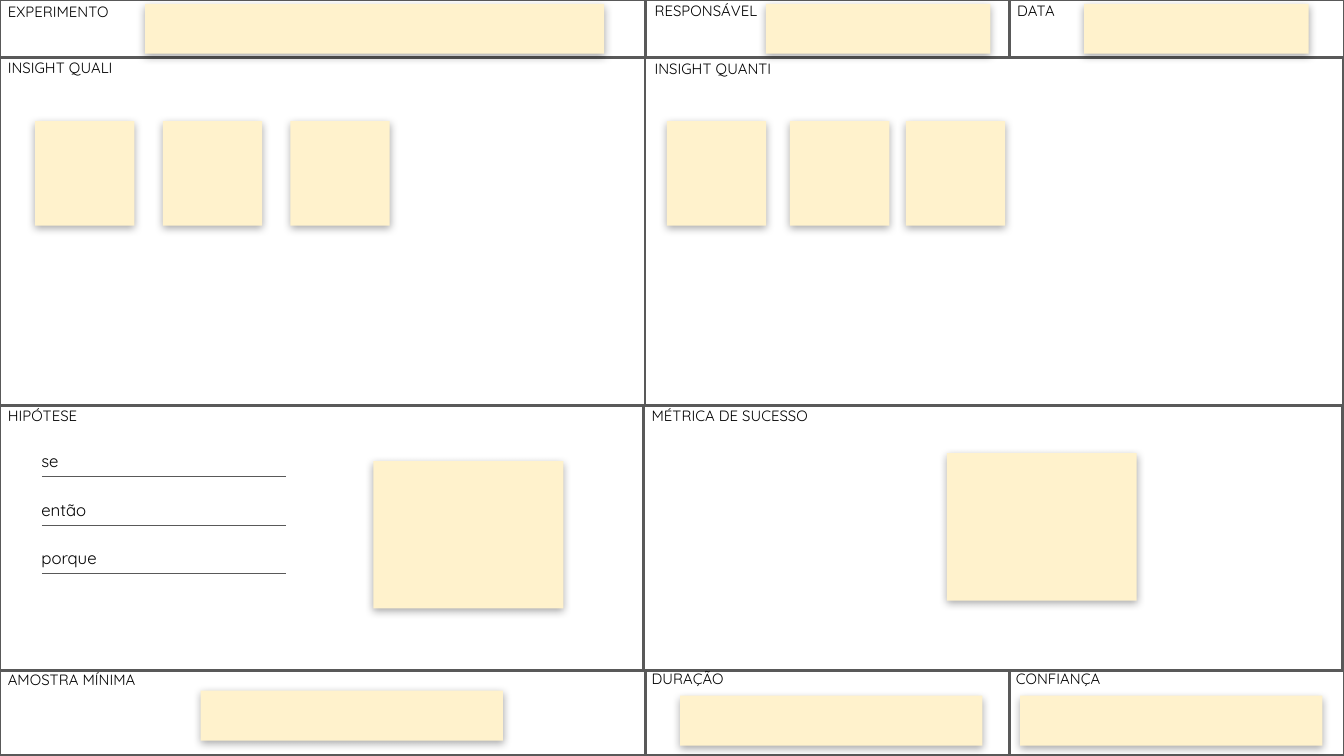
from typing import NamedTuple

import pptx
import pptx.dml.color
import pptx.enum.shapes
import pptx.enum.text
import pptx.oxml
import pptx.oxml.ns
import pptx.util

Pt = pptx.util.Pt
COLORS = {"panel": "FFFFFF", "border": "595959", "note": "FFF2CC", "text": "000000", "shadow": "000000"}
FONT = "Quicksand"

# Grid of the canvas
LEFT, MIDDLE, RIGHT, END = 0, 345.6, 540.7, 720
TOP, INSIGHT, HYPOTHESIS, FOOTER, BOTTOM = 0, 31, 217.4, 359.3, 405


class Panel(NamedTuple):
    label: str
    left: float
    top: float
    right: float
    bottom: float
    label_left: float
    label_top: float


class Note(NamedTuple):
    left: float
    top: float
    width: float
    height: float


PANELS = [
    Panel("INSIGHT QUALI", LEFT, INSIGHT, MIDDLE, HYPOTHESIS, -2.9, 26.6),
    Panel("HIPÓTESE", LEFT, HYPOTHESIS, MIDDLE - 0.5, FOOTER, -2.9, 213.1),
    Panel("AMOSTRA MÍNIMA", LEFT, FOOTER, MIDDLE, BOTTOM, -2.9, 354.4),
    Panel("INSIGHT QUANTI", MIDDLE, INSIGHT, END, HYPOTHESIS, 343.6, 27.2),
    Panel("MÉTRICA DE SUCESSO", MIDDLE - 0.8, HYPOTHESIS, END - 0.8, FOOTER, 342, 213.1),
    Panel("DURAÇÃO", MIDDLE, FOOTER, RIGHT, BOTTOM, 342, 354.2),
    Panel("CONFIANÇA", RIGHT, FOOTER, END, BOTTOM, 537.1, 354.2),
    Panel("EXPERIMENTO", LEFT, TOP, MIDDLE, INSIGHT, -2.9, -3.6),
    Panel("RESPONSÁVEL", MIDDLE, TOP, RIGHT, INSIGHT, 343.6, -4.2),
    Panel("DATA", RIGHT, TOP, END, INSIGHT, 537.8, -4.2),
]

INSIGHT_NOTE_LEFTS = [18.8, 87.2, 155.6, 357.2, 423.2, 485.3]
NOTES = [
    *(Note(left, 64.9, 53.2, 56) for left in INSIGHT_NOTE_LEFTS),
    Note(77.8, 2, 245.8, 26.8),
    Note(410.3, 2, 120.3, 26.8),
    Note(580.8, 2, 120.3, 26.8),
    Note(107.5, 370, 162, 26.8),
    Note(364.3, 372.7, 162, 26.8),
    Note(546.5, 372.7, 162, 26.8),
    Note(200, 247, 101.8, 79),
    Note(507.2, 242.8, 101.8, 79),
]

HYPOTHESIS_PARTS = ["se", "então", "porque"]
FIRST_RULE, RULE_GAP = 255.4, 26


def color(name: str) -> pptx.dml.color.RGBColor:
    return pptx.dml.color.RGBColor.from_string(COLORS[name])


def add_rectangle(slide, left: float, top: float, width: float, height: float, fill: str):
    shape = slide.shapes.add_shape(
        pptx.enum.shapes.MSO_SHAPE.RECTANGLE, Pt(left), Pt(top), Pt(width), Pt(height))
    shape.shadow.inherit = False
    shape.fill.solid()
    shape.fill.fore_color.rgb = color(fill)
    return shape


def add_panel(slide, panel: Panel) -> None:
    shape = add_rectangle(
        slide, panel.left, panel.top, panel.right - panel.left, panel.bottom - panel.top, "panel")
    shape.line.color.rgb = color("border")
    shape.line.width = Pt(1.5)


def add_note(slide, note: Note) -> None:
    """Draw a borderless sticky note with a soft shadow below it."""
    shape = add_rectangle(slide, *note, "note")
    shape.line.fill.background()
    effects = shape._element.spPr.find(pptx.oxml.ns.qn("a:effectLst"))
    effects.append(pptx.oxml.parse_xml(
        f'<a:outerShdw {pptx.oxml.ns.nsdecls("a")} blurRad="{Pt(4.5)}" dist="{Pt(1.5)}" '
        f'dir="5400000" algn="bl" rotWithShape="0"><a:srgbClr val="{COLORS["shadow"]}">'
        '<a:alpha val="32000"/></a:srgbClr></a:outerShdw>'))


def add_text(slide, text: str, *, left: float, top: float, width: float, height: float, size: float) -> None:
    frame = slide.shapes.add_textbox(Pt(left), Pt(top), Pt(width), Pt(height)).text_frame
    frame.word_wrap = True
    frame.auto_size = pptx.enum.text.MSO_AUTO_SIZE.SHAPE_TO_FIT_TEXT
    frame.margin_left = frame.margin_top = frame.margin_right = frame.margin_bottom = Pt(7.2)
    paragraph = frame.paragraphs[0]
    paragraph.text = text
    paragraph.font.name = FONT
    paragraph.font.size = Pt(size)
    paragraph.font.color.rgb = color("text")


def add_rule(slide, left: float, right: float, top: float) -> None:
    connector = slide.shapes.add_connector(
        pptx.enum.shapes.MSO_CONNECTOR.STRAIGHT, Pt(left), Pt(top), Pt(right), Pt(top))
    connector.line.color.rgb = color("border")
    connector.line.width = Pt(0.75)
    connector._element.spPr.append(pptx.oxml.parse_xml(f'<a:effectLst {pptx.oxml.ns.nsdecls("a")}/>'))


def main() -> None:
    presentation = pptx.Presentation()
    presentation.slide_width = Pt(END)
    presentation.slide_height = Pt(BOTTOM)
    slide = presentation.slides.add_slide(presentation.slide_layouts[6])

    for panel in PANELS:
        add_panel(slide, panel)
    for panel in PANELS:
        add_text(slide, panel.label, left=panel.label_left, top=panel.label_top,
                 width=108.7, height=24.5, size=8)
    for index, part in enumerate(HYPOTHESIS_PARTS):
        rule_top = FIRST_RULE + index * RULE_GAP
        add_rule(slide, 22.5, 153.2, rule_top)
        add_text(slide, part, left=15.1, top=rule_top - 19.2, width=64.8, height=25.2, size=9)
    for note in NOTES:
        add_note(slide, note)

    presentation.save("out.pptx")


if __name__ == "__main__":
    main()
